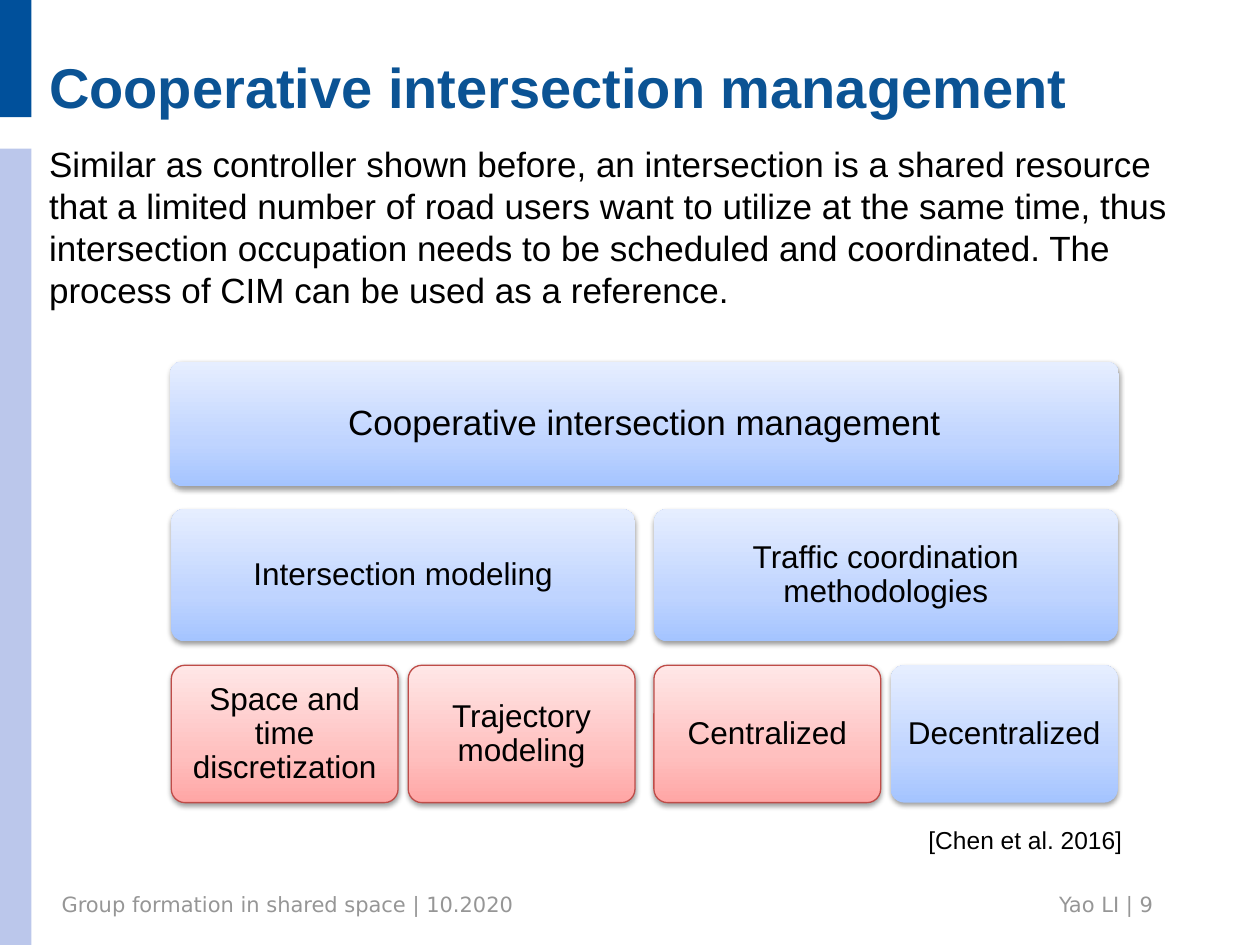
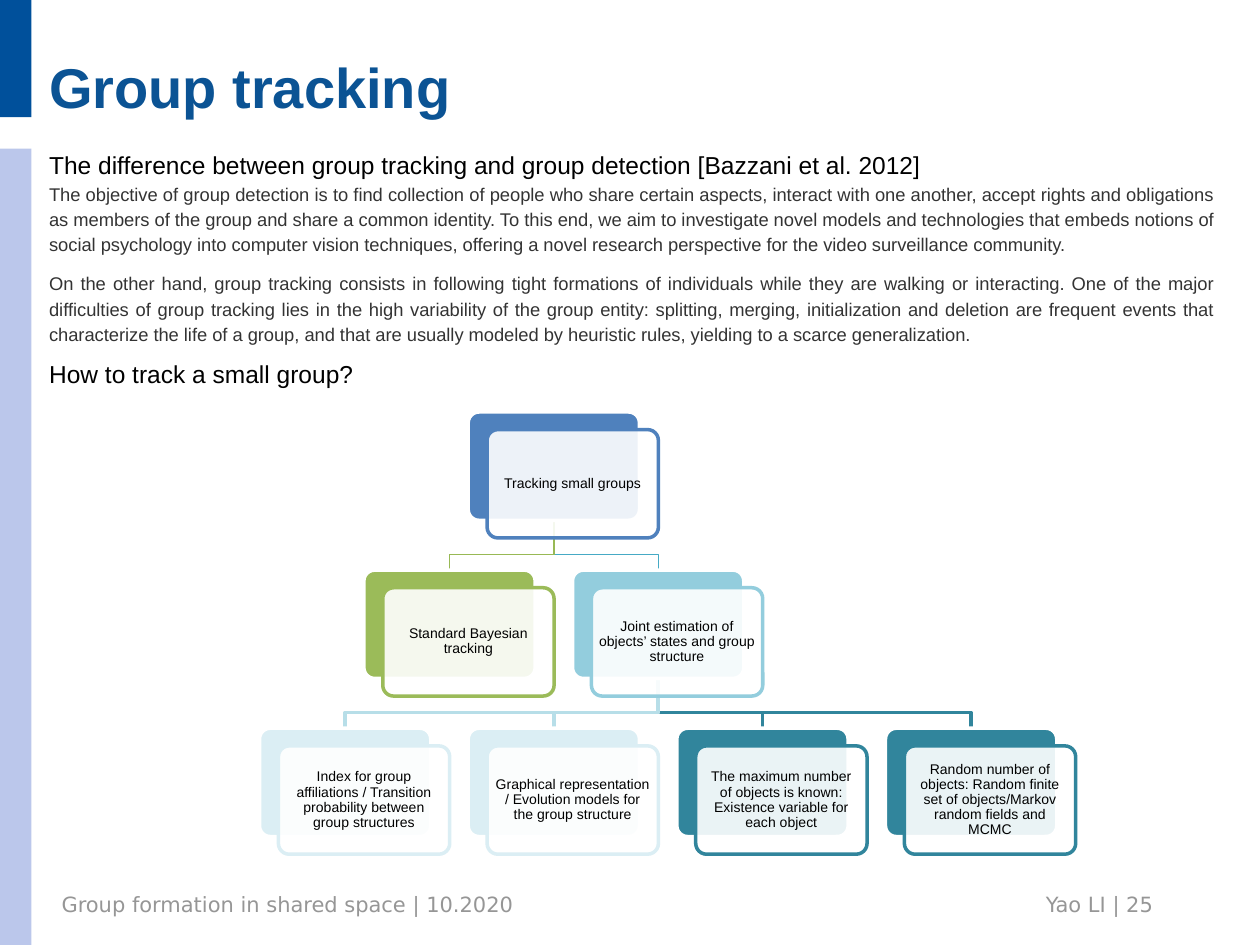
import pptx
import pptx.dml.color
import pptx.enum.shapes
import pptx.enum.text
import pptx.oxml.ns
import pptx.util
from dataclasses import dataclass
from lxml import etree

ALIGN = pptx.enum.text.PP_ALIGN
ANCHOR = pptx.enum.text.MSO_ANCHOR
SHAPE = pptx.enum.shapes.MSO_SHAPE
COLUMNS, ROWS = 100, 75


@dataclass(frozen=True)
class Theme:
    """Colours, fonts and type sizes."""
    font: str = "Arial"
    footer_font: str = "DejaVu Sans"
    black: str = "000000"
    white: str = "FFFFFF"
    title: str = "0B5394"
    prose: str = "333333"
    footer: str = "969696"
    band_dark: str = "00509B"
    band_light: str = "BBC7EB"
    red_line: str = "BF4C48"
    blue_fade: tuple = ((0, "A4C4FF"), (35, "BFD4FF"), (100, "E6EEFF"))
    red_fade: tuple = ((0, "FFA6A5"), (35, "FFC0BF"), (100, "FFE7E7"))
    blue: str = "4F81BD"
    green: str = "9BBB59"
    sky: str = "93CDDD"
    pale: str = "DBEEF4"
    teal: str = "31859C"
    link_pale: str = "B7DEE8"
    link_aqua: str = "46AAC5"
    link_green: str = "98B955"
    title_size: float = 32
    large: float = 20
    medium: float = 18
    small: float = 14
    footer_size: float = 12
    prose_size: float = 10.5
    card_size: float = 8


@dataclass(frozen=True)
class Node:
    """A card of the tree; slots count from the left, levels from the top."""
    text: str
    slot: float
    level: int
    colour: str
    parent: int = -1
    link_colour: str = ""
    link_width: float = 2


def assign(target, values):
    for name, value in values.items():
        setattr(target, name, value)


def rgb(colour):
    return pptx.dml.color.RGBColor.from_string(colour)


def add_tag(parent, tag, **attributes):
    element = etree.SubElement(parent, pptx.oxml.ns.qn(tag))
    for name, value in attributes.items():
        element.set(name, str(value))
    return element


class Painter:
    """Holds the style and the current slide."""

    def __init__(self, theme):
        self.theme = theme
        self.deck = pptx.Presentation()
        assign(self.deck, {"slide_width": pptx.util.Inches(10),
                           "slide_height": pptx.util.Inches(7.5)})
        self.page = None

    def across(self, columns):
        return round(self.deck.slide_width * columns / COLUMNS)

    def down(self, rows):
        return round(self.deck.slide_height * rows / ROWS)

    def area(self, left, top, width, height):
        return self.across(left), self.down(top), self.across(width), self.down(height)

    def new_page(self, title, number):
        theme = self.theme
        self.page = self.deck.slides.add_slide(self.deck.slide_layouts[6])
        # Side bands
        self.shape((0, 11.8, 2.5, 63.2), theme.band_light, SHAPE.RECTANGLE)
        self.shape((0, 0, 2.5, 9.3), theme.band_dark, SHAPE.RECTANGLE)
        # Footer
        footer = {"size": theme.footer_size, "colour": theme.footer, "font": theme.footer_font}
        self.text((3.9, 70.3, 57.2, 3.2),
                  [("Group formation in shared space | 10.2020", footer)], inset=(1, 0.5))
        self.text((61.8, 70.3, 30.7, 3.2),
                  [(f"Yao LI | {number}", {**footer, "alignment": ALIGN.RIGHT})], inset=(1, 0.5))
        # Title
        self.text((3.9, -0.7, 92.6, 10.2),
                  [(title, {"size": theme.title_size, "colour": theme.title, "bold": True})],
                  anchor=ANCHOR.BOTTOM)

    def fill_frame(self, frame, paragraphs, inset, anchor, wrap=True):
        side, rim = self.across(inset[0]), self.down(inset[1])
        assign(frame, {"word_wrap": wrap, "vertical_anchor": anchor, "margin_left": side,
                       "margin_right": side, "margin_top": rim, "margin_bottom": rim})
        for index, (words, style) in enumerate(paragraphs):
            para = frame.add_paragraph() if index else frame.paragraphs[0]
            assign(para, {"alignment": style.get("alignment", ALIGN.LEFT),
                          "line_spacing": style.get("spacing", 1.0),
                          "space_before": pptx.util.Pt(style.get("before", 0))})
            span = para.add_run()
            span.text = words
            assign(span.font, {"name": style.get("font", self.theme.font),
                               "size": pptx.util.Pt(style["size"]),
                               "bold": style.get("bold", False)})
            span.font.color.rgb = rgb(style.get("colour", self.theme.black))

    def text(self, place, paragraphs, inset=(0, 0), anchor=ANCHOR.TOP, wrap=True):
        box = self.page.shapes.add_textbox(*self.area(*place))
        self.fill_frame(box.text_frame, paragraphs, inset, anchor, wrap)

    def outline(self, shape, colour, width):
        if colour:
            shape.line.color.rgb = rgb(colour)
            shape.line.width = pptx.util.Pt(width)
        else:
            shape.line.fill.background()

    def shape(self, place, fill, kind=SHAPE.ROUNDED_RECTANGLE, line=None, width=2):
        shape = self.page.shapes.add_shape(kind, *self.area(*place))
        shape.shadow.inherit = False
        if len(shape.adjustments):
            shape.adjustments[0] = 0.1
        shape.fill.solid()
        shape.fill.fore_color.rgb = rgb(fill)
        self.outline(shape, line, width)
        return shape

    def label(self, shape, words, size, inset):
        style = {"size": size, "alignment": ALIGN.CENTER, "spacing": 0.9}
        self.fill_frame(shape.text_frame, [(words, style)], (inset, inset), ANCHOR.MIDDLE)

    def block(self, place, words, size, fade, line=None):
        """Rounded block with a vertical fade and a soft shadow."""
        block = self.shape(place, fade[0][1], line=line, width=0.75)
        block.fill.gradient()
        block.fill.gradient_angle = 90
        properties = block._element.spPr
        stops = properties.find(".//" + pptx.oxml.ns.qn("a:gsLst"))
        for stop in list(stops):
            stops.remove(stop)
        for position, colour in fade:
            add_tag(add_tag(stops, "a:gs", pos=position * 1000), "a:srgbClr", val=colour)
        effects = properties.find(pptx.oxml.ns.qn("a:effectLst"))
        shadow = add_tag(effects, "a:outerShdw", blurRad=40000, dist=20000,
                         dir=5400000, rotWithShape=0)
        tint = add_tag(shadow, "a:srgbClr", val=self.theme.black)
        add_tag(tint, "a:alpha", val=38000)
        self.label(block, words, size, 0.8)

    def card(self, left, top, width, height, words, colour):
        """White card in front of a coloured one."""
        white = self.theme.white
        self.shape((left, top, width, height), colour, line=white)
        front = self.shape((left + 1.5, top + 1.4, width, height), white, line=colour)
        tint = front._element.spPr.find(
            pptx.oxml.ns.qn("a:solidFill") + "/" + pptx.oxml.ns.qn("a:srgbClr"))
        add_tag(tint, "a:alpha", val=90000)
        self.label(front, words, self.theme.card_size, 0.35)

    def link(self, points, colour, width):
        corners = [(self.across(x), self.down(y)) for x, y in points]
        builder = self.page.shapes.build_freeform(*corners[0])
        builder.add_line_segments(corners[1:], close=False)
        link = builder.convert_to_shape()
        link.shadow.inherit = False
        link.fill.background()
        self.outline(link, colour, width)


def management_page(painter):
    theme = painter.theme
    painter.new_page("Cooperative intersection management", 9)
    painter.text((3.9, 11.3, 92.6, 17.2), [(
        "Similar as controller shown before, an intersection is a shared resource that a "
        "limited number of road users want to utilize at the same time, thus intersection "
        "occupation needs to be scheduled and coordinated. The process of CIM can be used "
        "as a reference.", {"size": theme.large})])

    # Hierarchy: one block, two halves, four quarters
    left, half, quarter, half_step, quarter_step = 13.6, 36.8, 18, 38.3, 18.8
    painter.block((left - 0.1, 28.7, half_step + half + 0.2, 9.9),
                  "Cooperative intersection management", theme.large, theme.blue_fade)
    red = (theme.red_fade, theme.red_line)
    blue = (theme.blue_fade, None)
    branches = [
        ("Intersection modeling",
         [("Space and time discretization", red), ("Trajectory modeling", red)]),
        ("Traffic coordination methodologies",
         [("Centralized", red), ("Decentralized", blue)]),
    ]
    for i, (branch, leaves) in enumerate(branches):
        start = left + i * half_step
        painter.block((start, 40.4, half, 10.5), branch, theme.medium, theme.blue_fade)
        for j, (leaf, look) in enumerate(leaves):
            painter.block((start + j * quarter_step, 52.8, quarter, 10.9),
                          leaf, theme.medium, *look)

    # Citation
    painter.text((72.7, 65, 17.5, 3.4), [("[Chen et al. 2016]", {"size": theme.small})],
                 inset=(1, 0.5), wrap=False)


def tracking_page(painter):
    theme = painter.theme
    painter.new_page("Group tracking", 25)
    heading = {"size": theme.small}
    prose = {"size": theme.prose_size, "colour": theme.prose,
             "alignment": ALIGN.JUSTIFY, "spacing": 1.15}
    painter.text((3.9, 11.9, 92.6, 22.2), [
        ("The difference between group tracking and group detection [Bazzani et al. 2012]",
         heading),
        ("The objective of group detection is to find collection of people who share certain "
         "aspects, interact with one another, accept rights and obligations as members of the "
         "group and share a common identity. To this end, we aim to investigate novel models "
         "and technologies that embeds notions of social psychology into computer vision "
         "techniques, offering a novel research perspective for the video surveillance "
         "community.", prose),
        ("On the other hand, group tracking consists in following tight formations of "
         "individuals while they are walking or interacting. One of the major difficulties of "
         "group tracking lies in the high variability of the group entity: splitting, merging, "
         "initialization and deletion are frequent events that characterize the life of a "
         "group, and that are usually modeled by heuristic rules, yielding to a scarce "
         "generalization.", {**prose, "before": 8}),
        ("How to track a small group?", {**heading, "before": 8}),
    ])

    # Tree of tracking methods
    nodes = [
        Node("Tracking small groups", 1, 0, theme.blue),
        Node("Standard Bayesian tracking", 0.5, 1, theme.green, 0, theme.link_green, 0.75),
        Node("Joint estimation of objects’ states and group structure", 1.5, 1,
             theme.sky, 0, theme.link_aqua, 0.75),
        Node("Index for group affiliations / Transition probability between group structures",
             0, 2, theme.pale, 2, theme.link_pale),
        Node("Graphical representation / Evolution models for the group structure",
             1, 2, theme.pale, 2, theme.link_pale, 2.25),
        Node("The maximum number of objects is known: Existence variable for each object",
             2, 2, theme.teal, 2, theme.teal),
        Node("Random number of objects: Random finite set of objects/Markov random fields "
             "and MCMC", 3, 2, theme.teal, 2, theme.teal),
    ]
    width, height = 13.6, 8.6

    def corner(node):
        return 20.6 + 16.56 * node.slot, 32.7 + 12.55 * node.level

    for node in reversed(nodes[1:]):
        (from_x, from_y), (to_x, to_y) = corner(nodes[node.parent]), corner(node)
        from_x, to_x = from_x + width / 2, to_x + width / 2
        bend = to_y - 1.25
        painter.link([(from_x, from_y + height), (from_x, bend), (to_x, bend), (to_x, to_y)],
                     node.link_colour, node.link_width)
    for node in nodes:
        painter.card(*corner(node), width, height, node.text, node.colour)


def main():
    painter = Painter(Theme())
    management_page(painter)
    tracking_page(painter)
    painter.deck.save("out.pptx")


if __name__ == "__main__":
    main()
